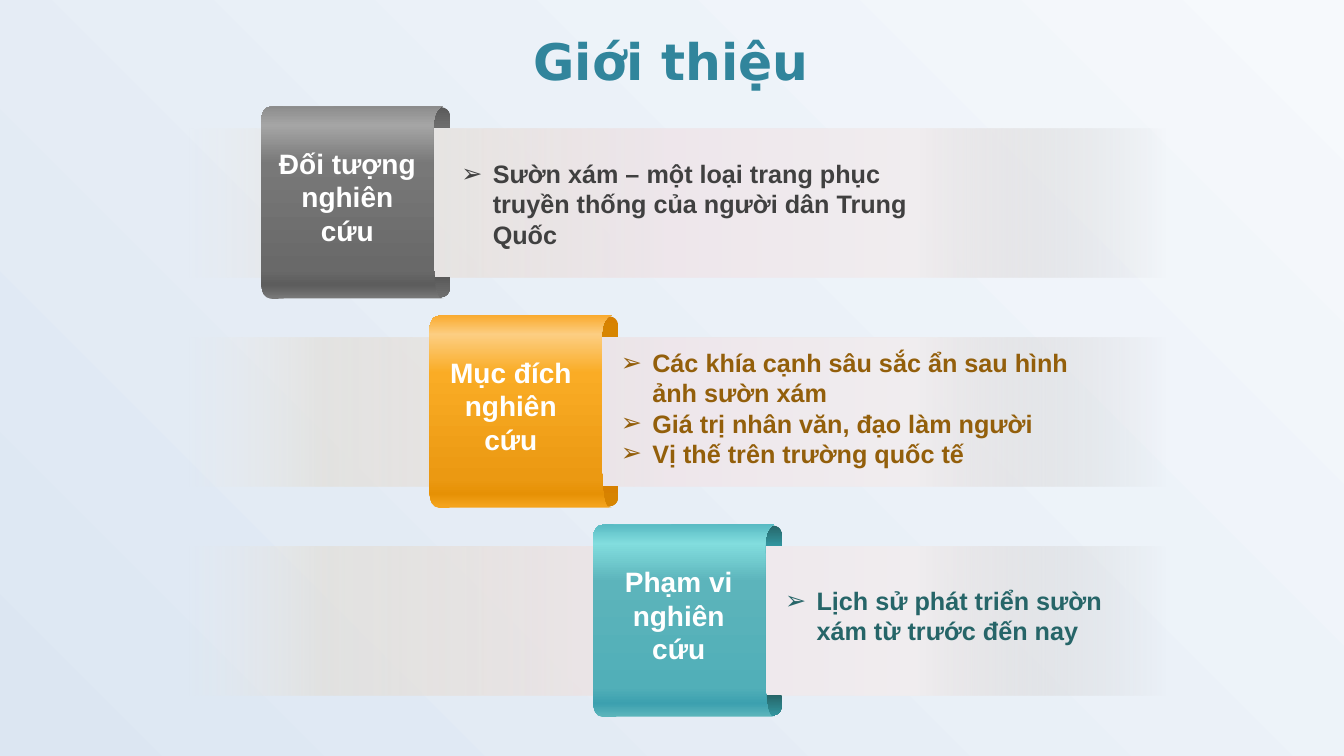
from lxml import etree
from pptx import Presentation
from pptx.enum.shapes import MSO_SHAPE
from pptx.enum.text import PP_ALIGN
from pptx.dml.color import RGBColor
from pptx.oxml.ns import qn
from pptx.util import Cm, Pt

RECTANGLE = MSO_SHAPE.RECTANGLE
CENTER, LEFT = PP_ALIGN.CENTER, PP_ALIGN.LEFT

UNITS_PER_CM = 1000
RIBBON_HEIGHT = 4.85
FIRST_TOP, ROW_STEP = 2.67, 5.27
BAND_STOPS = [(0, "C8C7C6", 0), (25, "F0EDEF", 100), (50, "EEE6EB", 100),
              (85, "E2DCD1", 52), (98, "EFEBE5", 0)]

# Outlines in cm from the ribbon's corner: two values are a line end,
# six values are the two handles and the end of a curve.
UPPER_FOLD = [(4.76, 0.55), (4.36, 0.55), (0, 0.55),
              (0.03, 0.1, 0.05, 0, 0.46, 0.02), (4.42, 0.02),
              (4.78, 0.02, 4.78, 0.2, 4.76, 0.55)]
LOWER_FOLD = [tuple(RIBBON_HEIGHT - value if index % 2 else value
                    for index, value in enumerate(part))
              for part in UPPER_FOLD]
FRONT = [(4.58, 0), (0.82, 0.02), (0.15, 0.02, 0, -0.1, 0, 0.55),
         (0, 1.73, 0, 2.92, 0, 4.1),
         (-0.02, 5.02, 0.15, 4.85, 0.69, 4.85), (4.6, 4.85),
         (4.44, 4.87, 4.37, 4.7, 4.35, 3.94),
         (4.35, 2.99, 4.35, 2.04, 4.35, 1.09),
         (4.35, 0.46, 4.29, 0.15, 4.58, 0)]

ROWS = [
    {"left": 6.58, "label": "Đối tượng nghiên cứu", "label_left": 6.7,
     "fold": ("5A5A5A", "6E6E6E"),
     "front": ("787878", "5D5D5D", "696969", "787878", "A5A5A5", "8C8C8C"),
     "body": ["Sườn xám – một loại trang phục truyền thống của người dân Trung Quốc"],
     "body_box": (11.38, 3.87, 12.12, 3.18), "color": "404040"},
    {"left": 10.82, "label": "Mục đích nghiên cứu", "label_left": 10.82,
     "fold": ("D78000", "D78500"),
     "front": ("F5A51E", "E69105", "EB9912", "FAAC25", "FCCE82", "FAAA2D"),
     "body": ["Các khía cạnh sâu sắc ẩn sau hình ảnh sườn xám",
              "Giá trị nhân văn, đạo làm người",
              "Vị thế trên trường quốc tế"],
     "body_box": (15.4, 8.63, 12.12, 4.11), "color": "935F0B"},
    {"left": 14.94, "label": "Phạm vi nghiên cứu", "label_left": 15.05,
     "fold": ("266568", "3296A0"),
     "front": ("5CB5BB", "3CA0AF", "51AFB8", "5CB4BB", "82DDDE", "58BAC3"),
     "body": ["Lịch sử phát triển sườn xám từ trước đến nay"],
     "body_box": (19.54, 14.63, 9.19, 1.8), "color": "266568"},
]


def color(value):
    return RGBColor.from_string(value)


def bend(shape, outline):
    """Turn the straight segments that have handles into curves."""
    lefts = [part[-2] for part in outline]
    tops = [part[-1] for part in outline]
    segments = list(shape.element.iter(qn("a:lnTo")))
    for segment, part in zip(segments, outline[1:]):
        if len(part) == 2:
            continue
        curve = etree.Element(qn("a:cubicBezTo"))
        for x, y in zip(part[::2], part[1::2]):
            etree.SubElement(curve, qn("a:pt"),
                             x=str(round((x - min(lefts)) * UNITS_PER_CM)),
                             y=str(round((y - min(tops)) * UNITS_PER_CM)))
        segment.getparent().replace(segment, curve)


def set_gradient(fill, parent, stops, angle):
    """Fill with (position, colour, opacity) stops; angle runs clockwise."""
    fill.solid()
    gradient = etree.Element(qn("a:gradFill"), rotWithShape="1")
    stop_list = etree.SubElement(gradient, qn("a:gsLst"))
    for position, value, opacity in stops:
        stop = etree.SubElement(stop_list, qn("a:gs"), pos=str(position * 1000))
        stop_color = etree.SubElement(stop, qn("a:srgbClr"), val=value)
        if opacity < 100:
            etree.SubElement(stop_color, qn("a:alpha"), val=str(opacity * 1000))
    etree.SubElement(gradient, qn("a:lin"), ang=str(angle * 60000), scaled="0")
    parent.replace(parent.find(qn("a:solidFill")), gradient)


class SlideBuilder:
    def __init__(self, slide):
        self.slide = slide
        self.font = "Arial"

    def background(self, stops, angle):
        fill = self.slide.background.fill
        fill.solid()
        parent = self.slide.element.find(".//" + qn("p:bgPr"))
        set_gradient(fill, parent, stops, angle)

    def style(self, shape, stops, angle):
        shape.shadow.inherit = False
        shape.line.fill.background()
        set_gradient(shape.fill, shape.element.spPr, stops, angle)

    def band(self, top):
        shape = self.slide.shapes.add_shape(
            RECTANGLE, Cm(4.27), Cm(top), Cm(25.1), Cm(3.76))
        self.style(shape, BAND_STOPS, 180)

    def outline(self, group, outline, left, top, stops, angle):
        ends = [(part[-2] * UNITS_PER_CM, part[-1] * UNITS_PER_CM)
                for part in outline]
        builder = group.shapes.build_freeform(
            *ends[0], scale=Cm(1) / UNITS_PER_CM)
        builder.add_line_segments(ends[1:], close=True)
        shape = builder.convert_to_shape(Cm(left), Cm(top))
        bend(shape, outline)
        self.style(shape, stops, angle)

    def ribbon(self, left, top, fold_colors, front_colors):
        group = self.slide.shapes.add_group_shape()
        fold_stops = [(position, value, 100)
                      for position, value in zip((0, 100), fold_colors)]
        front_stops = [(position, value, 100) for position, value
                       in zip((0, 7, 15, 70, 90, 100), front_colors)]
        for fold in (UPPER_FOLD, LOWER_FOLD):
            self.outline(group, fold, left, top, fold_stops, 90)
        self.outline(group, FRONT, left, top, front_stops, 270)

    def text(self, box, lines, size, value, align=CENTER, font=None,
             bullet=None, wrap=True):
        shape = self.slide.shapes.add_textbox(*(Cm(length) for length in box))
        frame = shape.text_frame
        frame.word_wrap = wrap
        frame.text = "\n".join(lines)
        for paragraph in frame.paragraphs:
            paragraph.alignment = align
            if bullet:
                properties = paragraph._p.get_or_add_pPr()
                properties.set("marL", str(Cm(0.79)))
                properties.set("indent", str(-Cm(0.79)))
                etree.SubElement(properties, qn("a:buFont"), typeface=self.font)
                etree.SubElement(properties, qn("a:buChar"), char=bullet)
            for run in paragraph.runs:
                run.font.name = font or self.font
                run.font.size = Pt(size)
                run.font.bold = True
                run.font.color.rgb = color(value)


def main():
    presentation = Presentation()
    presentation.slide_width = Cm(33.87)
    presentation.slide_height = Cm(19.05)
    slide = presentation.slides.add_slide(presentation.slide_layouts[6])
    builder = SlideBuilder(slide)
    tops = [FIRST_TOP + index * ROW_STEP for index in range(len(ROWS))]

    builder.background([(0, "F6F9FC", 100), (100, "DCE6F2", 100)], 135)
    for top in tops:
        builder.band(top + 0.56)
    for row, top in zip(ROWS, tops):
        builder.ribbon(row["left"], top, row["fold"], row["front"])
        builder.text((row["label_left"], top + 0.89, 4.11, 2.82),
                     [row["label"]], 20, "FFFFFF")
    for row in ROWS:
        builder.text(row["body_box"], row["body"], 18, row["color"],
                     align=LEFT, bullet="➢")
    builder.text((13.2, 0.64, 7.44, 1.8), ["Giới thiệu"], 36, "31859C",
                 font="DejaVu Sans", wrap=False)

    presentation.save("out.pptx")


if __name__ == "__main__":
    main()
